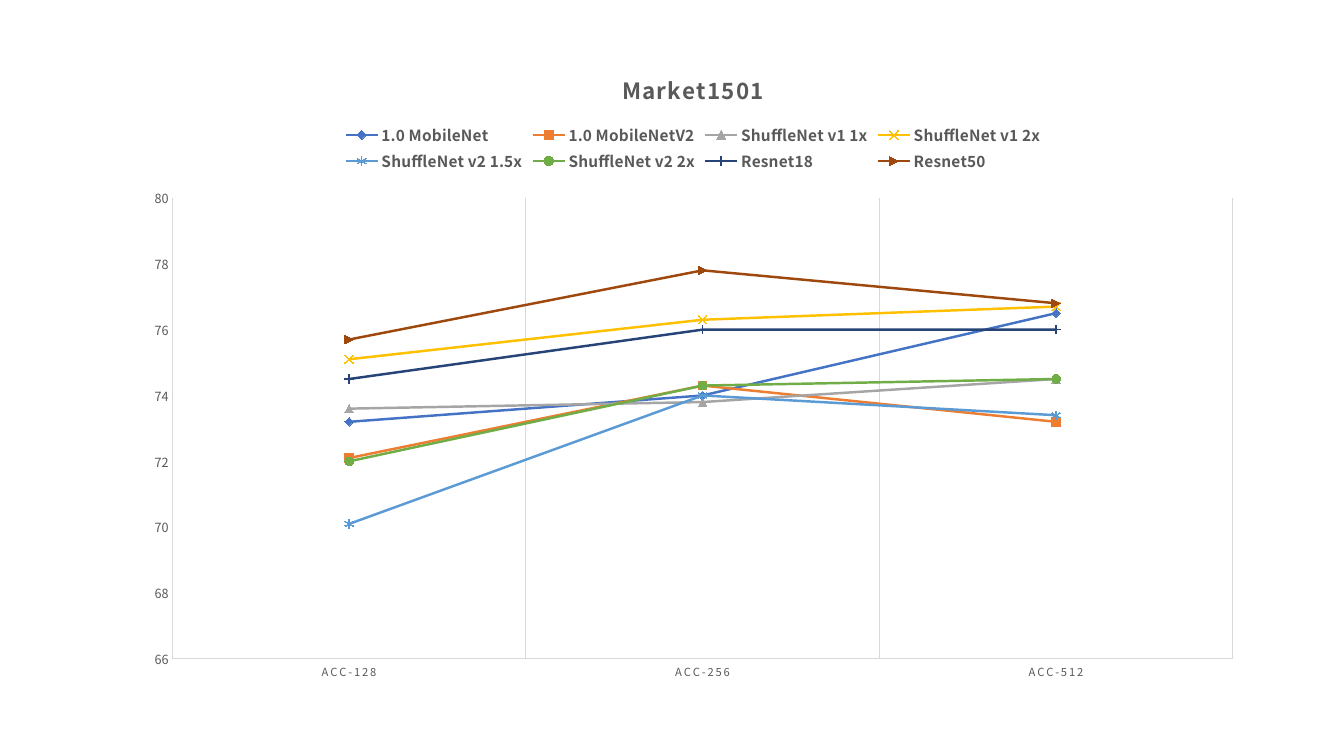
from lxml import etree
from pptx import Presentation
from pptx import util as u
from pptx.chart.data import CategoryChartData
from pptx.dml.color import RGBColor
from pptx.enum import chart as ch
from pptx.oxml.ns import qn

FONT = "Noto Sans CJK SC"
COLORS = {
    "text": "595959", "grid": "D9D9D9",
    "blue": "4472C4", "orange": "ED7D31", "gray": "A5A5A5", "gold": "FFC000",
    "sky": "5B9BD5", "green": "70AD47", "navy": "264478", "brown": "9E480E",
}
CATEGORIES = ["ACC-128", "ACC-256", "ACC-512"]
MARKER = ch.XL_MARKER_STYLE
# Name, accuracies, color, marker style, marker is filled
NETWORKS = [
    ("1.0 MobileNet", (73.2, 74.0, 76.5), "blue", MARKER.DIAMOND, True),
    ("1.0 MobileNetV2", (72.1, 74.3, 73.2), "orange", MARKER.SQUARE, True),
    ("ShuffleNet v1 1x", (73.6, 73.8, 74.5), "gray", MARKER.TRIANGLE, True),
    ("ShuffleNet v1 2x", (75.1, 76.3, 76.7), "gold", MARKER.X, False),
    ("ShuffleNet v2 1.5x", (70.1, 74.0, 73.4), "sky", MARKER.STAR, False),
    ("ShuffleNet v2 2x", (72.0, 74.3, 74.5), "green", MARKER.CIRCLE, True),
    ("Resnet18", (74.5, 76.0, 76.0), "navy", MARKER.PLUS, False),
    ("Resnet50", (75.7, 77.8, 76.8), "brown", MARKER.DOT, True),
]


def rgb(name):
    return RGBColor.from_string(COLORS[name])


def format_font(font, size, bold=False, color="text", spacing=None):
    font.name, font.size, font.bold = FONT, u.Pt(size), bold
    font.color.rgb = rgb(color)
    if spacing is not None:
        font._rPr.set("spc", str(spacing))


def write_text(frame, text, **style):
    run = frame.paragraphs[0].add_run()
    run.text = text
    format_font(run.font, **style)


class ChartSlide:
    def __init__(self, presentation):
        self.slide = presentation.slides.add_slide(presentation.slide_layouts[6])

    def line_chart(self, left, top, width, height):
        data = CategoryChartData(number_format="General")
        data.categories = CATEGORIES
        for name, values, *_ in NETWORKS:
            data.add_series(name, values)
        frame = self.slide.shapes.add_chart(
            ch.XL_CHART_TYPE.LINE_MARKERS, u.Inches(left), u.Inches(top),
            u.Inches(width), u.Inches(height), data)
        self.chart = frame.chart
        format_font(self.chart.font, 10)
        self.chart.plots[0].vary_by_categories = False

    def title(self, text, **style):
        self.chart.has_title = True
        write_text(self.chart.chart_title.text_frame, text, **style)
        self.chart.chart_title.include_in_layout = False

    def legend(self, **style):
        self.chart.has_legend = True
        legend = self.chart.legend
        legend.position = ch.XL_LEGEND_POSITION.TOP
        legend.include_in_layout = False
        format_font(legend.font, **style)

    def line(self, line, color, width):
        line.color.rgb = rgb(color)
        line.width = u.Pt(width)

    def axis(self, axis, gridlines, **style):
        axis.major_tick_mark = axis.minor_tick_mark = ch.XL_TICK_MARK.NONE
        axis.has_major_gridlines = gridlines
        if gridlines:
            self.line(axis.major_gridlines.format.line, "grid", 0.75)
        self.line(axis.format.line, "grid", 0.75)
        format_font(axis.tick_labels.font, **style)

    def series(self, series, color, marker_style, filled):
        series.smooth = False
        self.line(series.format.line, color, 1.75)
        marker = series.marker
        marker.style, marker.size = marker_style, 6
        self.line(marker.format.line, color, 0.75)
        if filled:
            marker.format.fill.solid()
            marker.format.fill.fore_color.rgb = rgb(color)
        else:
            marker.format.fill.background()

    def plot_area(self, x, y, w, h):
        area = self.chart._chartSpace.find(".//" + qn("c:plotArea"))
        layout = area.find(qn("c:layout"))
        if layout is None:
            layout = etree.Element(qn("c:layout"))
            area.insert(0, layout)
        manual = etree.SubElement(layout, qn("c:manualLayout"))
        settings = {"layoutTarget": "inner", "xMode": "edge", "yMode": "edge",
                    "x": x, "y": y, "w": w, "h": h}
        for tag, value in settings.items():
            etree.SubElement(manual, qn("c:" + tag)).set("val", str(value))


def main():
    presentation = Presentation()
    presentation.slide_width = u.Inches(13.33)
    presentation.slide_height = u.Inches(7.5)
    page = ChartSlide(presentation)

    # Chart with title and legend
    page.line_chart(1.31, 0.49, 11.13, 6.38)
    page.title("Market1501", size=16, bold=True, spacing=100)
    page.legend(size=11, bold=True)
    page.plot_area(0.036, 0.231, 0.945, 0.717)

    # Axes
    page.axis(page.chart.category_axis, True, size=8, spacing=120)
    value_axis = page.chart.value_axis
    page.axis(value_axis, False, size=9)
    value_axis.minimum_scale, value_axis.maximum_scale = 66, 80
    value_axis.major_unit = 2

    # One line per network
    for series, (_, _, *look) in zip(page.chart.plots[0].series, NETWORKS):
        page.series(series, *look)

    presentation.save("out.pptx")


if __name__ == "__main__":
    main()
